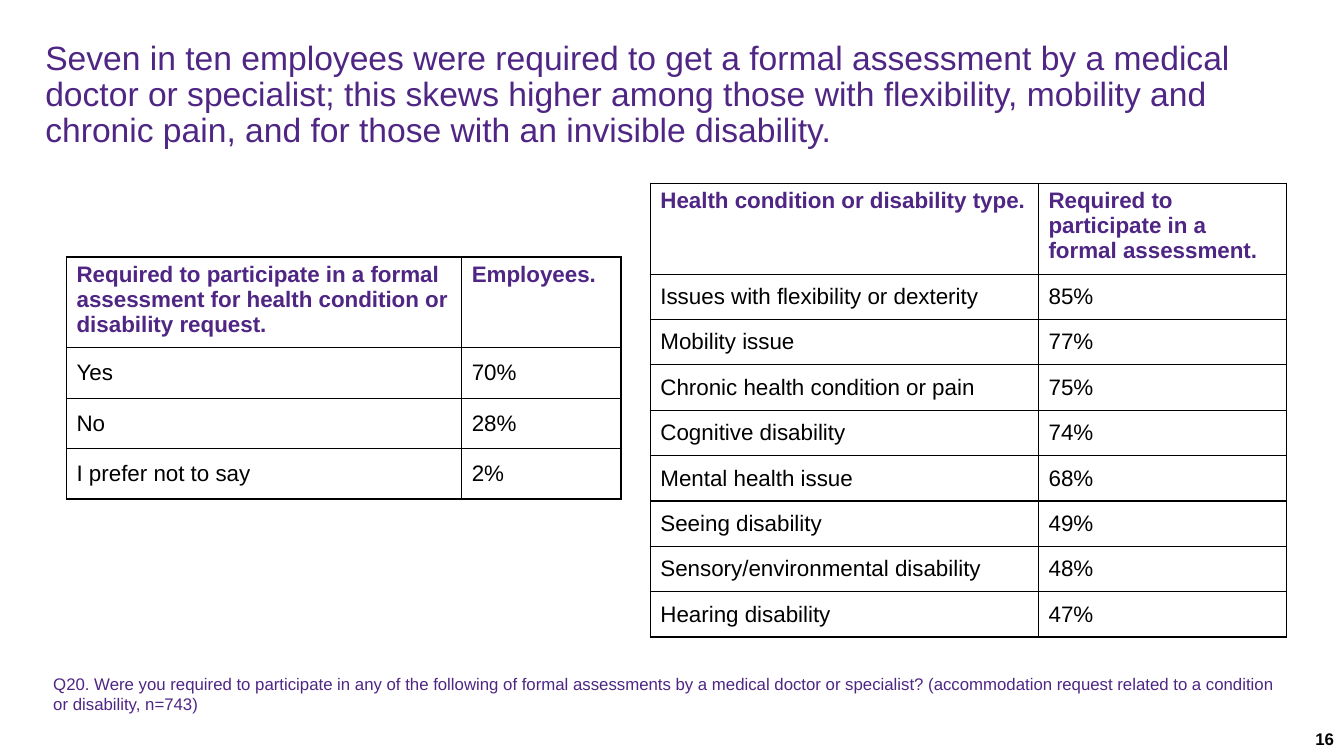
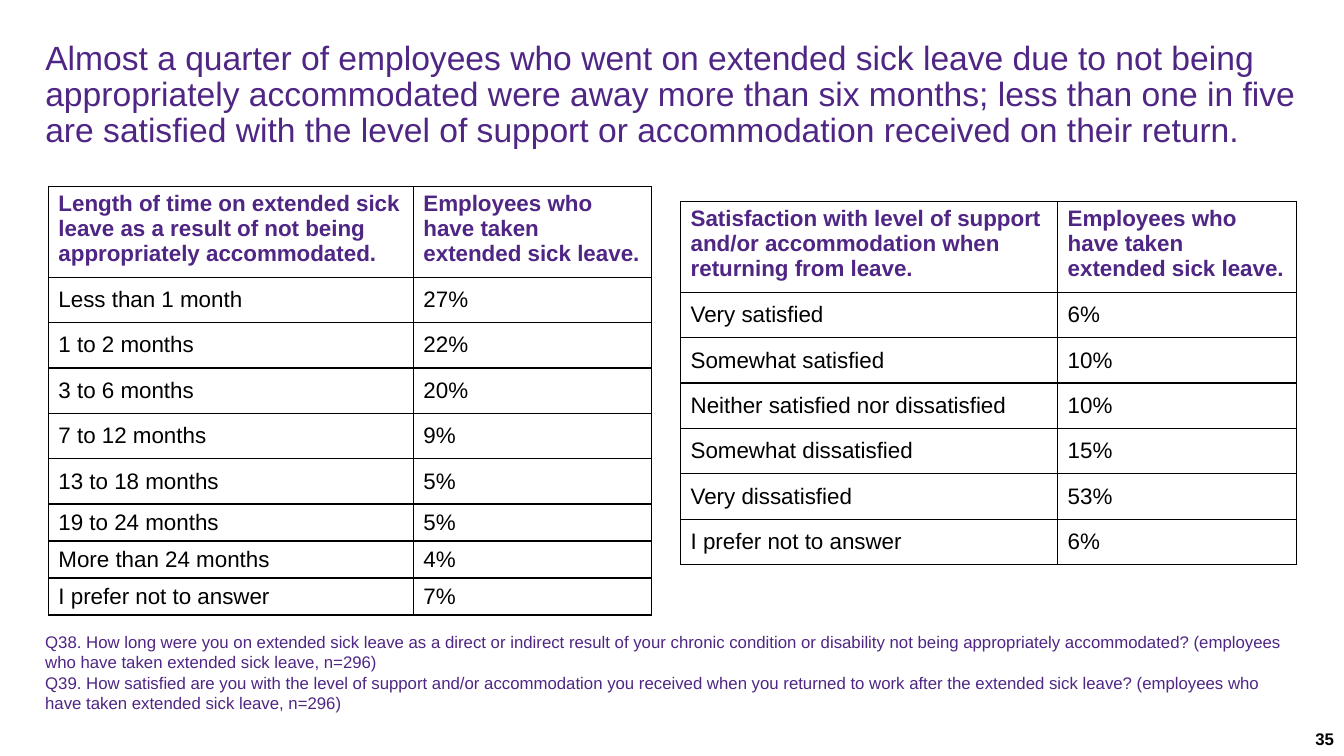
from dataclasses import dataclass

from lxml.etree import SubElement
from pptx import Presentation
from pptx.dml.color import RGBColor as Rgb
from pptx.enum.text import MSO_ANCHOR as Anchor, PP_ALIGN as Align
from pptx.oxml.ns import qn
from pptx.util import Emu, Pt

PX = 9144  # 100 px to the inch
COLORS = {"brand": "4F2684", "ink": "000000", "back": "FFFFFF"}
FONTS = {
    "title": {"size": Pt(24), "bold": False},
    "head": {"size": Pt(16), "bold": True},
    "cell": {"size": Pt(16), "bold": False},
    "note": {"size": Pt(12), "bold": False},
    "page": {"size": Pt(12), "bold": True},
}
TINTS = {"title": "brand", "head": "brand", "cell": "ink", "note": "brand", "page": "ink"}
PARAS = {"title": {"line_spacing": 0.9}, "page": {"alignment": Align.RIGHT}}
FRAMES = {
    "title": {"margin_left": 0, "margin_right": 0,
              "margin_top": 2 * PX, "margin_bottom": 2 * PX},
}
HEAD = 84  # height of a three-line header row
EDGES = ("a:lnL", "a:lnR", "a:lnT", "a:lnB")
BLANK = 6


@dataclass(frozen=True)
class Box:
    left: int
    top: int
    width: int
    height: int

    def emu(self) -> tuple[Emu, ...]:
        return tuple(Emu(n * PX) for n in (self.left, self.top, self.width, self.height))


@dataclass(frozen=True)
class Grid:
    left: int
    top: int
    cols: tuple[int, int]
    steps: tuple[int, ...]
    head: tuple[str, str]
    rows: tuple[tuple[str, int], ...]


@dataclass(frozen=True)
class Page:
    number: int
    title: str
    room: Box
    grids: tuple[Grid, ...]
    notes: tuple[str, ...]
    foot: Box


def assign(item, values: dict) -> None:
    for name, value in values.items():
        setattr(item, name, value)


def style(para, kind: str) -> None:
    assign(para, PARAS.get(kind, {}))
    assign(para.font, {"name": "Arial", **FONTS[kind]})
    para.font.color.rgb = Rgb.from_string(COLORS[TINTS[kind]])


def write(slide, box: Box, kind: str, *lines: str) -> None:
    frame = slide.shapes.add_textbox(*box.emu()).text_frame
    assign(frame, {"word_wrap": True, **FRAMES.get(kind, {})})
    frame.text = "\n".join(lines)
    for para in frame.paragraphs:
        style(para, kind)


def border(cell) -> None:
    """Rule all four sides; lines must precede the fill in the cell XML."""
    props = cell._tc.get_or_add_tcPr()
    for spot, edge in enumerate(EDGES):
        line = SubElement(props, qn(edge), w=str(Pt(1)))
        paint = SubElement(line, qn("a:solidFill"))
        SubElement(paint, qn("a:srgbClr"), val=COLORS["ink"])
        props.insert(spot, line)


def tabulate(slide, grid: Grid) -> None:
    steps = (HEAD, *grid.steps)
    box = Box(grid.left, grid.top, sum(grid.cols), sum(steps))
    table = slide.shapes.add_table(len(steps), len(grid.cols), *box.emu()).table
    assign(table, {"first_row": False, "horz_banding": False})
    for col, width in zip(table.columns, grid.cols):
        col.width = Emu(width * PX)
    for row, height in zip(table.rows, steps):
        row.height = Emu(height * PX)
    texts = (grid.head, *((label, f"{share}%") for label, share in grid.rows))
    for r, pair in enumerate(texts):
        for c, text in enumerate(pair):
            cell = table.cell(r, c)
            cell.text = text
            cell.vertical_anchor = Anchor.MIDDLE if r else Anchor.TOP
            cell.fill.background()
            border(cell)
            style(cell.text_frame.paragraphs[0], "cell" if r else "head")


def draw(deck, page: Page) -> None:
    slide = deck.slides.add_slide(deck.slide_layouts[BLANK])
    fill = slide.background.fill
    fill.solid()
    fill.fore_color.rgb = Rgb.from_string(COLORS["back"])
    write(slide, page.room, "title", page.title)
    for grid in page.grids:
        tabulate(slide, grid)
    write(slide, page.foot, "note", *page.notes)
    write(slide, Box(1033, 718, 300, 32), "page", str(page.number))


LEAVE = "Employees who have taken extended sick leave."
PAGES = (
    Page(
        16,
        "Seven in ten employees were required to get a formal assessment by a medical "
        "doctor or specialist; this skews higher among those with flexibility, mobility "
        "and chronic pain, and for those with an invisible disability.",
        Box(45, 39, 1243, 113),
        (
            Grid(66, 255, (392, 158), (50,) * 3,
                 ("Required to participate in a formal assessment for health "
                  "condition or disability request.", "Employees."),
                 (("Yes", 70), ("No", 28), ("I prefer not to say", 2))),
            Grid(645, 182, (385, 246), (45,) * 8,
                 ("Health condition or disability type.",
                  "Required to participate in a formal assessment."),
                 (("Issues with flexibility or dexterity", 85),
                  ("Mobility issue", 77),
                  ("Chronic health condition or pain", 75),
                  ("Cognitive disability", 74),
                  ("Mental health issue", 68),
                  ("Seeing disability", 49),
                  ("Sensory/environmental disability", 48),
                  ("Hearing disability", 47))),
        ),
        ("Q20. Were you required to participate in any of the following of formal "
         "assessments by a medical doctor or specialist? (accommodation request related "
         "to a condition or disability, n=743)",),
        Box(43, 663, 1233, 50),
    ),
    Page(
        35,
        "Almost a quarter of employees who went on extended sick leave due to not being "
        "appropriately accommodated were away more than six months; less than one in five "
        "are satisfied with the level of support or accommodation received on their return.",
        Box(45, 39, 1253, 113),
        (
            Grid(48, 185, (362, 236), (45,) * 5 + (35,) * 3,
                 ("Length of time on extended sick leave as a result of not being "
                  "appropriately accommodated.", LEAVE),
                 (("Less than 1 month", 27),
                  ("1 to 2 months", 22),
                  ("3 to 6 months", 20),
                  ("7 to 12 months", 9),
                  ("13 to 18 months", 5),
                  ("19 to 24 months", 5),
                  ("More than 24 months", 4),
                  ("I prefer not to answer", 7))),
            Grid(675, 200, (374, 237), (45,) * 6,
                 ("Satisfaction with level of support and/or accommodation when "
                  "returning from leave.", LEAVE),
                 (("Very satisfied", 6),
                  ("Somewhat satisfied", 10),
                  ("Neither satisfied nor dissatisfied", 10),
                  ("Somewhat dissatisfied", 15),
                  ("Very dissatisfied", 53),
                  ("I prefer not to answer", 6))),
        ),
        ("Q38. How long were you on extended sick leave as a direct or indirect result of "
         "your chronic condition or disability not being appropriately accommodated? "
         "(employees who have taken extended sick leave, n=296)",
         "Q39. How satisfied are you with the level of support and/or accommodation you "
         "received when you returned to work after the extended sick leave? "
         "(employees who have taken extended sick leave, n=296)"),
        Box(35, 622, 1253, 91),
    ),
)


def main() -> None:
    deck = Presentation()
    assign(deck, {"slide_width": Emu(1333 * PX), "slide_height": Emu(750 * PX)})
    for page in PAGES:
        draw(deck, page)
    deck.save("out.pptx")


if __name__ == "__main__":
    main()
